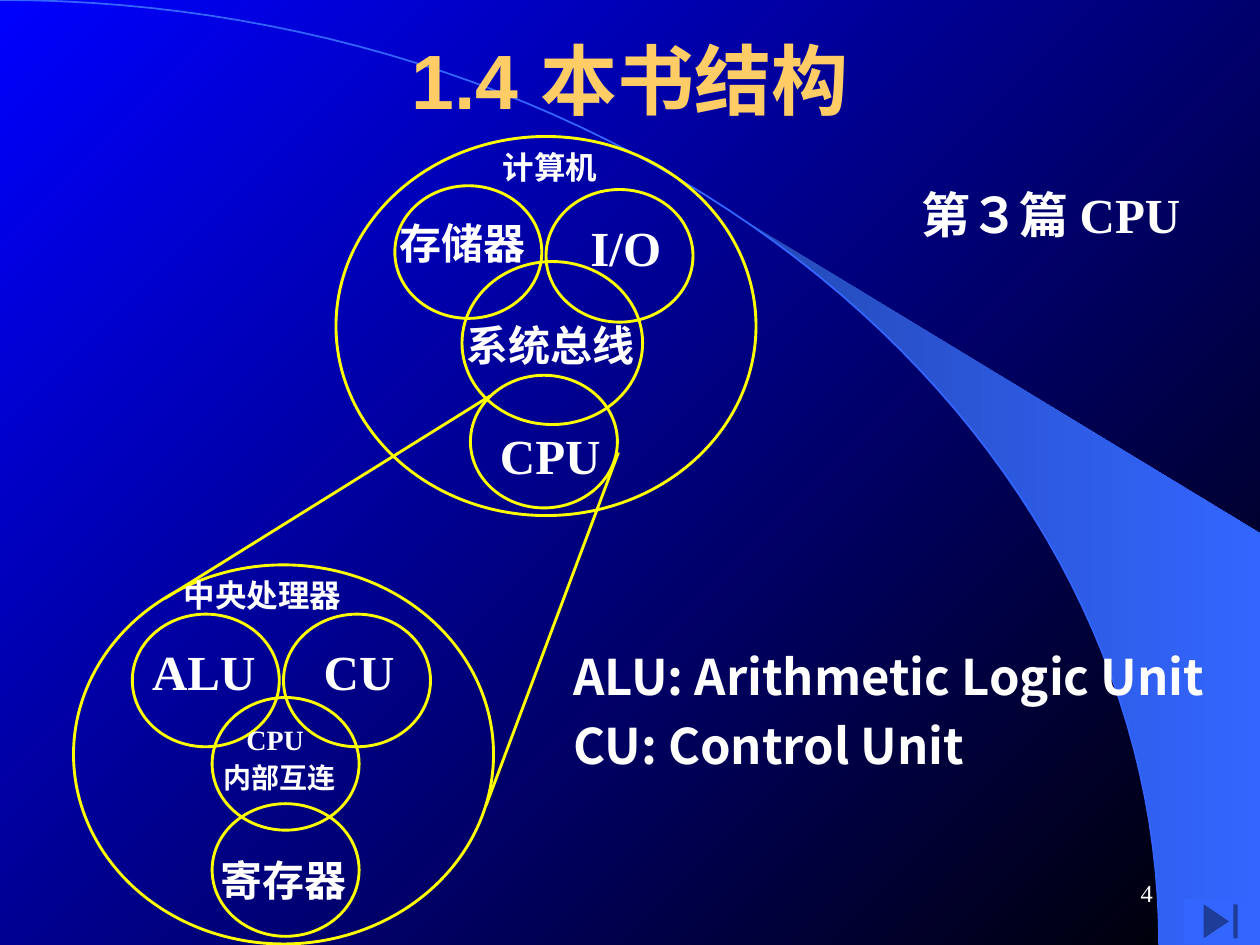
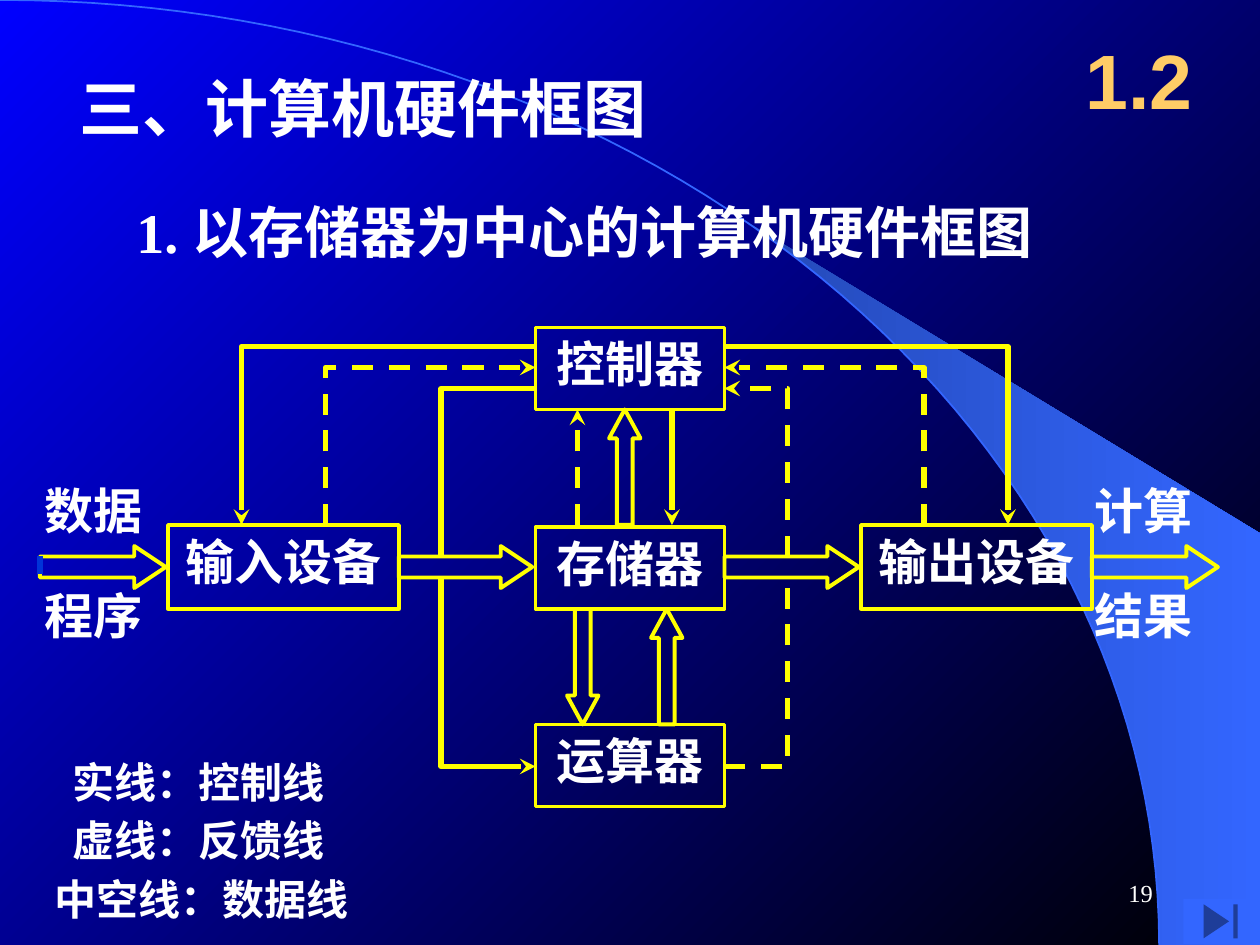
from math import asin, cos, pi, sin
from lxml.etree import SubElement
from pptx import Presentation
from pptx.dml.color import RGBColor
from pptx.enum.dml import MSO_LINE
from pptx.enum.shapes import MSO_CONNECTOR, MSO_SHAPE
from pptx.enum.text import MSO_ANCHOR, MSO_AUTO_SIZE, PP_ALIGN
from pptx.oxml.ns import qn
from pptx.util import Inches, Pt

COLORS = {"blue": "0000FF", "black": "000000", "white": "FFFFFF",
          "gold": "FFCC66", "yellow": "FFFF00", "band": "3366FF",
          "band_dark": "2449B6", "arrow_tail": "0033D8"}
SANS, SERIF, HEAD = "Noto Sans CJK SC", "Times New Roman", "Arial"
LEFT, CENTER, RIGHT = PP_ALIGN.LEFT, PP_ALIGN.CENTER, PP_ALIGN.RIGHT
TOP, MIDDLE = MSO_ANCHOR.TOP, MSO_ANCHOR.MIDDLE
COLS, ROWS = 120, 90  # twelve grid units to the inch


def grid(*units):
    return [round(u * Inches(1) / 12) for u in units]


def rgb(name):
    return RGBColor.from_string(COLORS[name])


# ---- Text ----
def write(shape, paras, size=28, font=SANS, color="white", bold=True,
          align=LEFT, anchor=TOP, wrap=True, inset=True, indents=()):
    """Each paragraph is a string or a list of (text, font)."""
    tf = shape.text_frame
    tf.word_wrap, tf.auto_size, tf.vertical_anchor = wrap, MSO_AUTO_SIZE.NONE, anchor
    tf.margin_left = tf.margin_right = Inches(0.1 if inset else 0)
    tf.margin_top = tf.margin_bottom = Inches(0.05 if inset else 0)
    for i, para in enumerate(paras):
        p = tf.add_paragraph() if i else tf.paragraphs[0]
        p.alignment = align
        p.space_before = Pt(0.2 * size if i else 0)
        pPr = p._p.get_or_add_pPr()
        pPr.set("marL", str(grid(indents[i])[0] if indents else 0))
        pPr.set("indent", "0")
        SubElement(pPr, qn("a:buNone"))
        for text, face in [(para, font)] if isinstance(para, str) else para:
            r = p.add_run()
            r.text = text
            r.font.size, r.font.bold, r.font.name = Pt(size), bold, face
            r.font.color.rgb = rgb(color)
            SubElement(r._r.get_or_add_rPr(), qn("a:ea")).set("typeface", SANS)
    return shape


def textbox(s, box, paras, **fmt):
    return write(s.shapes.add_textbox(*grid(*box)), paras, **fmt)


def fill_placeholder(sp, box, paras, **fmt):
    sp.left, sp.top, sp.width, sp.height = grid(*box)
    return write(sp, paras, **fmt)


# ---- Shapes and lines ----
def stroke(line, color="yellow", width=3, dash=False, arrow=False):
    line.color.rgb, line.width = rgb(color), Pt(width)
    if dash:
        line.dash_style = MSO_LINE.DASH
    if arrow:
        ln = line._get_or_add_ln()
        SubElement(ln, qn("a:tailEnd")).set("type", "stealth")


def outline(s, kind, box, width, head=None):
    sp = s.shapes.add_shape(kind, *grid(*box))
    sp.shadow.inherit = False
    sp.fill.background()
    stroke(sp.line, width=width)
    if head:
        sp.adjustments[0], sp.adjustments[1] = 0.5, head / min(box[2:])
    return sp


def freeform(s, points, close=False):
    points = [grid(*point) for point in points]
    builder = s.shapes.build_freeform(*points[0])
    builder.add_line_segments(points[1:], close=close)
    sp = builder.convert_to_shape()
    sp.shadow.inherit = False
    sp.fill.background()
    return sp


def polyline(s, points, **style):
    sp = freeform(s, points)
    stroke(sp.line, **style)
    return sp


def straight(s, start, end, **style):
    line = s.shapes.add_connector(MSO_CONNECTOR.STRAIGHT, *grid(*start, *end))
    SubElement(line._element.spPr, qn("a:effectLst"))
    stroke(line.line, **style)


def gradient(fill, first, last, angle):
    fill.gradient()
    fill.gradient_angle = angle
    for stop, color in zip(fill.gradient_stops, (first, last)):
        stop.color.rgb = rgb(color)


# ---- Shared backdrop and footer ----
def arc(start, steps=60):
    """Quarter ellipse from the top left corner to the lower right."""
    angles = [start + (pi / 2 - start) * i / steps for i in range(steps + 1)]
    return [(0.92 * COLS * sin(a), ROWS * (1 - cos(a))) for a in angles]


def send_to_back(s, *shapes):
    tree = s.shapes._spTree
    for position, sp in enumerate(shapes, start=2):  # after the tree's two headers
        tree.insert(position, sp._element)


def new_slide(prs, number):
    s = prs.slides.add_slide(prs.slide_layouts[1])
    band = freeform(s, arc(asin(0.64)) + [(COLS, ROWS), (COLS, 50.8)], close=True)
    gradient(band.fill, "band_dark", "band", 0)
    band.line.fill.background()
    curve = polyline(s, arc(0), color="band", width=1)
    send_to_back(s, band, curve)

    button = s.shapes.add_shape(MSO_SHAPE.ACTION_BUTTON_END, *grid(112.7, 85.6, 7.1, 4.3))
    button.shadow.inherit = False
    button.fill.solid()
    button.fill.fore_color.rgb = rgb("band")
    button.line.fill.background()
    textbox(s, (86, 82, 25, 6), [number], size=14, font=SERIF, bold=False,
            align=RIGHT, anchor=MIDDLE)
    return s


# ---- Slide: structure of the book ----
def circle_diagram(s, box, circles, labels):
    """Circles and labels are placed by shares of the outer ellipse's box."""
    x, y, w, h = box
    for dx, dy, dw, dh in [(0, 0, 1, 1)] + circles:
        outline(s, MSO_SHAPE.OVAL, (x + dx * w, y + dy * h, dw * w, dh * h), 1.63)
    label_w, label_h = 0.5 * w, 0.16 * h
    for text, cx, cy, size, font in labels:
        textbox(s, (x + cx * w - label_w / 2, y + cy * h - label_h / 2, label_w, label_h),
                [text], size=size, font=font, align=CENTER, anchor=MIDDLE,
                wrap=False, inset=False)


def structure_slide(prs):
    s = new_slide(prs, "4")
    fill_placeholder(s.shapes.title, (9, 0, 102, 15), ["1.4 本书结构"], size=44,
                     font=HEAD, color="gold", align=CENTER, anchor=MIDDLE)
    small = 0.35
    # Computer, and the processor it contains
    circle_diagram(
        s, (32, 13, 40, 36.1),
        [(0.14, 0.13, small, small), (0.5, 0.14, small, small),
         (0.3, 0.33, 0.43, 0.43), (0.32, 0.63, small, small)],
        [("计算机", 0.51, 0.08, 18, SANS), ("存储器", 0.3, 0.28, 24, SANS),
         ("I/O", 0.69, 0.29, 28, SERIF), ("系统总线", 0.51, 0.55, 24, SANS),
         ("CPU", 0.51, 0.84, 28, SERIF)])
    circle_diagram(
        s, (7, 53.8, 40, 36.1),
        [(0.14, 0.13, small, small), (0.5, 0.13, small, small),
         (0.33, 0.35, small, small), (0.33, 0.63, small, small)],
        [("中央处理器", 0.45, 0.08, 18, SANS), ("ALU", 0.31, 0.28, 28, SERIF),
         ("CU", 0.68, 0.28, 28, SERIF), ("CPU", 0.48, 0.46, 16, SERIF),
         ("内部互连", 0.49, 0.56, 16, SANS), ("寄存器", 0.5, 0.83, 24, SANS)])
    # Zoom lines
    straight(s, (46.7, 37.7), (15.7, 57), width=1.63)
    straight(s, (58.9, 43.1), (46.3, 76.7), width=1.63)
    # Part name and abbreviations
    textbox(s, (80.2, 17, 39.8, 6.8),
            [[("第", SANS), ("３", SERIF), ("篇 ", SANS), ("CPU", SERIF)]], align=CENTER)
    fill_placeholder(s.placeholders[1], (53.4, 61, 66.6, 13.7),
                     ["ALU: Arithmetic Logic Unit", "CU: Control Unit"], wrap=False)


# ---- Slide: hardware block diagram ----
def hardware_diagram(s):
    # Units
    for text, x, y, w, h in [("控制器", 51, 31.2, 18, 7.8), ("存储器", 51, 50.2, 18, 7.8),
                             ("运算器", 51, 69, 18, 7.8), ("输入设备", 16, 50, 22, 8),
                             ("输出设备", 82, 50, 22, 8)]:
        write(outline(s, MSO_SHAPE.RECTANGLE, (x, y, w, h), 2), [text], align=CENTER)
    # Hollow data arrows
    for x, w in [(3.8, 12), (38, 12.7), (69, 12.8), (104, 12)]:
        outline(s, MSO_SHAPE.RIGHT_ARROW, (x, 52, w, 4), 2.25, head=3)
    for kind, x, y in [(MSO_SHAPE.UP_ARROW, 58, 39), (MSO_SHAPE.UP_ARROW, 62, 58),
                       (MSO_SHAPE.DOWN_ARROW, 54, 58)]:
        outline(s, kind, (x, y, 3, 11), 2.25, head=2.75)
    straight(s, (3.8, 53), (3.8, 54.7), color="arrow_tail")
    # Control lines (solid) and feedback lines (dashed): points, dash, arrow
    for points, dash, arrow in [
            ([(42, 53), (42, 37), (51, 37)], False, False),
            ([(42, 55), (42, 73), (51, 73)], False, True),
            ([(51, 33), (23, 33), (23, 50)], False, True),
            ([(69, 33), (96, 33), (96, 50)], False, True),
            ([(69, 73), (75, 73), (75, 55)], True, False),
            ([(75, 53), (75, 37), (69, 37)], True, True),
            ([(31, 50), (31, 35), (51, 35)], True, True),
            ([(88, 50), (88, 35), (69, 35)], True, True)]:
        polyline(s, points, dash=dash, arrow=arrow)
    straight(s, (55, 50), (55, 39), dash=True, arrow=True)
    straight(s, (64, 39), (64, 50), arrow=True)
    # What goes in and what comes out
    for x, words in [(3, ("数据", "程序")), (103, ("计算", "结果"))]:
        for y, word in zip((45.2, 55.2), words):
            textbox(s, (x, y, 11.8, 6.8), [word], align=CENTER, wrap=False)


def hardware_slide(prs):
    s = new_slide(prs, "19")
    fill_placeholder(s.shapes.title, (6.4, 6, 84.6, 8.4), ["三、计算机硬件框图"], size=36)
    textbox(s, (101, 2, 15, 11), ["1.2"], size=44, font=HEAD, color="gold",
            align=CENTER, anchor=MIDDLE)
    textbox(s, (11.8, 18.2, 88, 7.6), ["1. 以存储器为中心的计算机硬件框图"],
            size=32, font=SERIF)
    hardware_diagram(s)
    # Legend
    fill_placeholder(s.placeholders[1], (4, 71.4, 30.8, 17.6),
                     ["实线：控制线", "虚线：反馈线", "中空线：数据线"],
                     size=24, indents=(1.7, 1.7, 0))


def main():
    prs = Presentation()
    prs.slide_width, prs.slide_height = grid(COLS, ROWS)
    gradient(prs.slide_master.background.fill, "blue", "black", 315)
    structure_slide(prs)
    hardware_slide(prs)
    prs.save("out.pptx")


if __name__ == "__main__":
    main()
